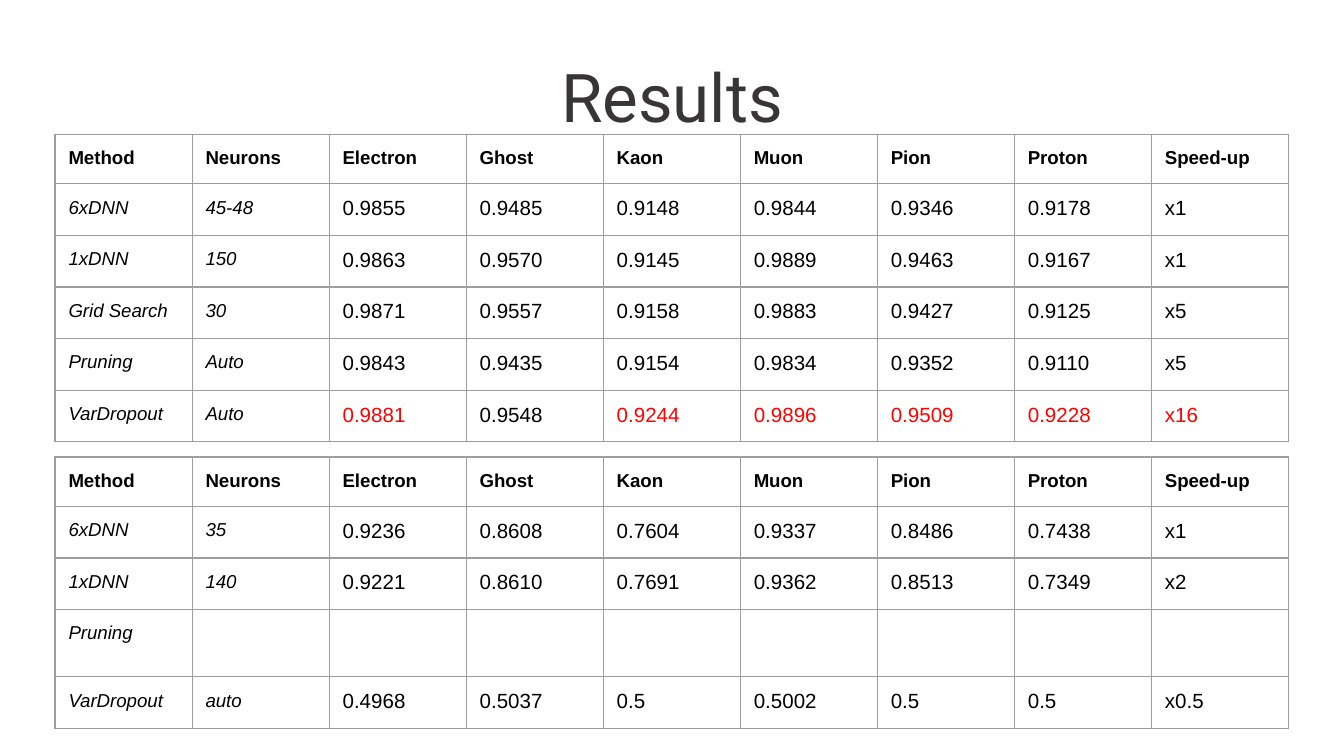
from lxml.etree import SubElement
from pptx import Presentation
from pptx.dml.color import RGBColor
from pptx.enum.text import MSO_ANCHOR, PP_ALIGN
from pptx.oxml.ns import qn
from pptx.util import Inches, Pt

COLORS = {"title": "383536", "text": "000000", "best": "FF0000", "border": "9E9E9E"}
HEADER = ["Method", "Neurons", "Electron", "Ghost", "Kaon", "Muon", "Pion", "Proton", "Speed-up"]
TABLES = [
    (1.0, [0.32, 0.32, 0.32, 0.34, 0.32, 0.32], [
        ["6xDNN", "45-48", "0.9855", "0.9485", "0.9148", "0.9844", "0.9346", "0.9178", "x1"],
        ["1xDNN", "150", "0.9863", "0.9570", "0.9145", "0.9889", "0.9463", "0.9167", "x1"],
        ["Grid Search", "30", "0.9871", "0.9557", "0.9158", "0.9883", "0.9427", "0.9125", "x5"],
        ["Pruning", "Auto", "0.9843", "0.9435", "0.9154", "0.9834", "0.9352", "0.9110", "x5"],
        ["VarDropout", "Auto", "0.9881", "0.9548", "0.9244", "0.9896", "0.9509", "0.9228", "x16"],
    ], {(5, c) for c in (2, 4, 5, 6, 7, 8)}),
    (3.4, [0.3, 0.32, 0.32, 0.32, 0.37], [
        ["6xDNN", "35", "0.9236", "0.8608", "0.7604", "0.9337", "0.8486", "0.7438", "x1"],
        ["1xDNN", "140", "0.9221", "0.8610", "0.7691", "0.9362", "0.8513", "0.7349", "x2"],
        ["Pruning"] + [""] * 8,
        ["VarDropout", "auto", "0.4968", "0.5037", "0.5", "0.5002", "0.5", "0.5", "x0.5"],
    ], set()),
]


def add_run(p, text, font, size, color):
    r = p.add_run()
    r.text = text
    r.font.name = font
    r.font.size = Pt(size)
    r.font.color.rgb = RGBColor.from_string(COLORS[color])
    return r


def set_borders(cell):
    tcPr = cell._tc.get_or_add_tcPr()
    for i, side in enumerate(("a:lnL", "a:lnR", "a:lnT", "a:lnB")):
        ln = SubElement(tcPr, qn(side), w=str(Pt(0.75)))
        fill = SubElement(ln, qn("a:solidFill"))
        SubElement(fill, qn("a:srgbClr"), val=COLORS["border"])
        tcPr.insert(i, ln)


prs = Presentation()
prs.slide_width = Inches(10)
prs.slide_height = Inches(10) * 9 // 16
s = prs.slides.add_slide(prs.slide_layouts[6])

sp = s.shapes.add_textbox(Inches(2.65), Inches(0.31), Inches(4.7), Inches(0.69))
tf = sp.text_frame
tf.word_wrap = True
tf.vertical_anchor = MSO_ANCHOR.TOP
tf.margin_left = tf.margin_right = tf.margin_top = tf.margin_bottom = Inches(0.1)
p = tf.paragraphs[0]
p.alignment = PP_ALIGN.CENTER
add_run(p, "Results", "Roboto", 36, "title")

for top, heights, body, best in TABLES:
    rows = [HEADER] + body
    sp = s.shapes.add_table(len(rows), len(HEADER), Inches(0.41), Inches(top),
                            Inches(3.28), Inches(3.28))
    table = sp.table
    table.first_row = table.horz_banding = False
    for col in table.columns:
        col.width = Inches(1.02)
    for i, row in enumerate(rows):
        table.rows[i].height = Inches(heights[i])
        for j, text in enumerate(row):
            cell = table.cell(i, j)
            cell.margin_left = cell.margin_right = Inches(0.1)
            cell.margin_top = cell.margin_bottom = Inches(0.1)
            cell.fill.background()
            set_borders(cell)
            if text:
                size = 10 if i == 0 or j < 2 else 11
                color = "best" if (i, j) in best else "text"
                r = add_run(cell.text_frame.paragraphs[0], text, "Arial", size, color)
                r.font.bold = i == 0
                r.font.italic = i > 0 and j < 2
    sp.width = sp.height = Inches(3.28)

prs.save("out.pptx")
